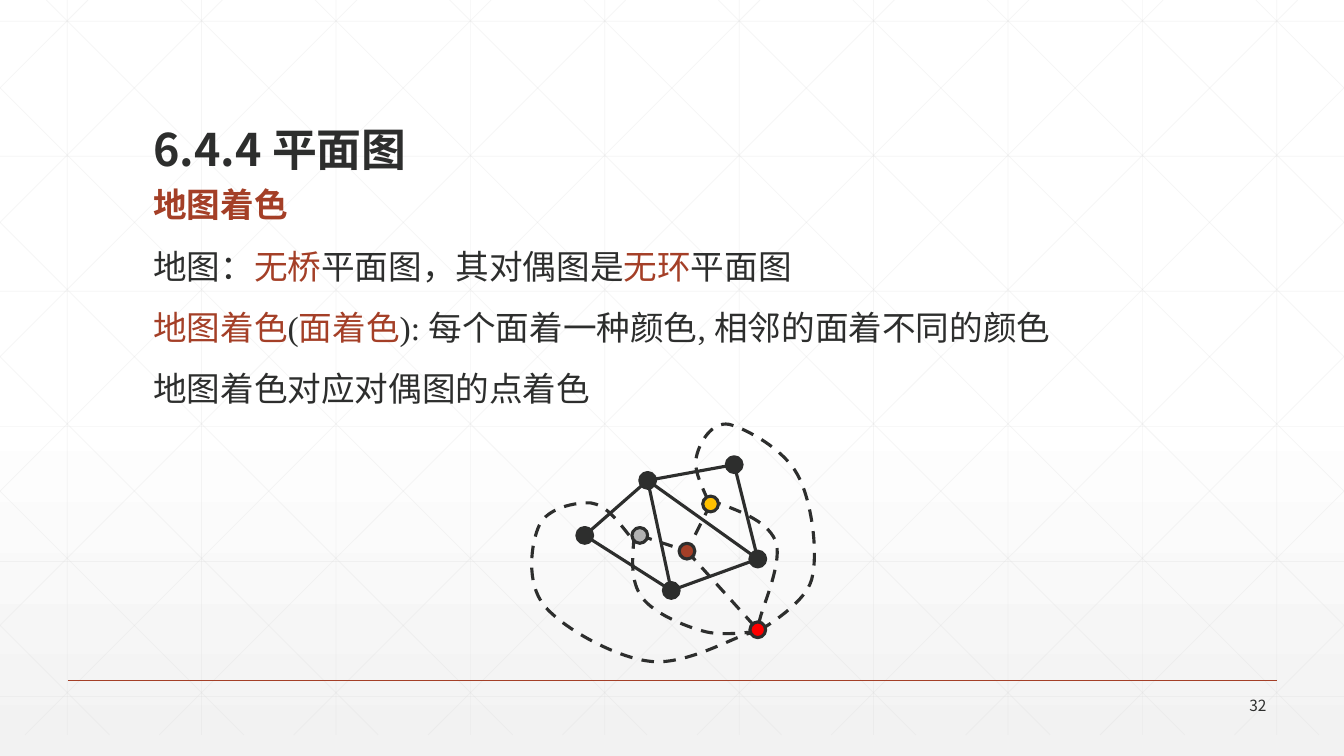
from lxml import etree
from pptx import Presentation
from pptx.dml.color import RGBColor
from pptx.enum.dml import MSO_LINE
from pptx.enum.shapes import MSO_CONNECTOR, MSO_SHAPE
from pptx.enum.text import MSO_ANCHOR, MSO_AUTO_SIZE, PP_ALIGN
from pptx.oxml.ns import qn
from pptx.util import Inches, Pt

STRAIGHT = MSO_CONNECTOR.STRAIGHT
OVAL = MSO_SHAPE.OVAL
DASH = MSO_LINE.DASH
TOP, MIDDLE, BOTTOM = MSO_ANCHOR.TOP, MSO_ANCHOR.MIDDLE, MSO_ANCHOR.BOTTOM
NO_FIT = MSO_AUTO_SIZE.NONE
LEFT, RIGHT = PP_ALIGN.LEFT, PP_ALIGN.RIGHT

WIDTH, HEIGHT = 13.33, 7.5
INK, RUST, PALE = "2D2E2D", "A43F27", "D9D9D9"
SANS, SERIF = "Noto Sans CJK SC", "Times New Roman"

STEP = 0.078
VERTICES = {"top": (8, 2), "peak": (19, 0), "left": (0, 9), "bottom": (11, 16), "right": (22, 12)}
FACES = {"yellow": (16, 5, "FFC000"), "rust": (13, 11, RUST),
         "gray": (7, 9, "B2B2B2"), "outer": (22, 21, "FF0000")}
EDGES = [("top", "left"), ("top", "bottom"), ("left", "bottom"), ("top", "peak"),
         ("peak", "right"), ("bottom", "right"), ("top", "right")]
DUAL_EDGES = [("yellow", "rust"), ("gray", "rust"), ("rust", "outer")]
DUAL_CURVES = [
    [(1.83, 0.86), (2.12, 0.96), (2.4, 1.06), (2.49, 1.26), (2.57, 1.45), (2.38, 1.88),
     (2.34, 2.03), (2.31, 2.18), (2.26, 2.16), (2.26, 2.16)],
    [(1.09, 1.22), (1.07, 1.45), (1.05, 1.67), (1.17, 1.83), (1.28, 1.98), (1.58, 2.11),
     (1.77, 2.16), (1.96, 2.22), (2.33, 2.16), (2.33, 2.16)],
    [(1.82, 0.86), (1.75, 0.7), (1.67, 0.54), (1.71, 0.42), (1.74, 0.29), (1.86, 0.08),
     (2.03, 0.11), (2.19, 0.15), (2.57, 0.35), (2.71, 0.61), (2.85, 0.86), (2.92, 1.39),
     (2.85, 1.65), (2.78, 1.91), (2.29, 2.18), (2.29, 2.18)],
    [(1.04, 1.21), (0.92, 1.06), (0.81, 0.91), (0.66, 0.89), (0.51, 0.88), (0.23, 0.94),
     (0.15, 1.11), (0.07, 1.28), (0.01, 1.68), (0.2, 1.91), (0.38, 2.13), (0.9, 2.42),
     (1.24, 2.46), (1.59, 2.51), (2.08, 2.22), (2.24, 2.18), (2.41, 2.13), (2.31, 2.16),
     (2.21, 2.19)],
]
BODY = [
    [("地图着色", RUST, True)],
    [("地图：", INK, False), ("无桥", RUST, False), ("平面图，其对偶图是", INK, False),
     ("无环", RUST, False), ("平面图", INK, False)],
    [("地图着色", RUST, False), ("(", INK, False), ("面着色", RUST, False),
     ("): 每个面着一种颜色, 相邻的面着不同的颜色", INK, False)],
    [("地图着色对应对偶图的点着色", INK, False)],
]


def color(value):
    return RGBColor.from_string(value)


def place(shape, box):
    shape.left, shape.top, shape.width, shape.height = map(Inches, box)


def stroke(line, value, width, dashed=False):
    line.color.rgb = color(value)
    line.width = Pt(width)
    if dashed:
        line.dash_style = DASH


def add_line(shapes, start, end, value, width, dashed=False, alpha=None):
    link = shapes.add_connector(STRAIGHT, *map(Inches, (*start, *end)))
    stroke(link.line, value, width, dashed)
    properties = link._element.spPr
    etree.SubElement(properties, qn("a:effectLst"))
    if alpha:
        tint = properties.find(".//" + qn("a:srgbClr"))
        etree.SubElement(tint, qn("a:alpha")).set("val", str(alpha * 1000))
    return link


def move_to_layout(slide, shape):
    slide.slide_layout.shapes._spTree.append(shape._element)


def add_run(paragraph, text, font, size, value, bold=False):
    run = paragraph.add_run()
    run.text = text
    run.font.name = font
    run.font.size = Pt(size)
    run.font.bold = bold
    run.font.color.rgb = color(value)
    etree.SubElement(run._r.get_or_add_rPr(), qn("a:ea")).set("typeface", SANS)


def prepare(frame, anchor):
    frame.word_wrap = True
    frame.auto_size = NO_FIT
    frame.vertical_anchor = anchor


def draw_background(slide):
    fill = slide.background.fill
    fill.gradient()
    fill.gradient_angle = 270
    for stop, position, value in zip(fill.gradient_stops, (0.53, 1), ("FFFFFF", "F2F2F2")):
        stop.position = position
        stop.color.rgb = color(value)


def draw_lattice(slide, box):
    left, top, width, height = box
    right, bottom = left + width, top + height
    pitch = width / 10
    lines = [((left + pitch * (i + 0.5), top), (left + pitch * (i + 0.5), bottom))
             for i in range(10)]
    lines += [((left, top + 0.21 + 1.34 * i), (right, top + 0.21 + 1.34 * i)) for i in range(6)]
    for i in range(-5, 10):
        crossing = 0.46 + pitch * i
        high, low = max(0, -crossing), min(height, width - crossing)
        near, far = crossing + high, crossing + low
        lines.append(((left + near, top + high), (left + far, top + low)))
        lines.append(((right - near, top + high), (right - far, top + low)))
    lattice = slide.shapes.add_group_shape()
    for start, end in lines:
        add_line(lattice.shapes, start, end, PALE, 0.5, alpha=25)
    move_to_layout(slide, lattice)


def fill_title(slide, box):
    title = slide.shapes.title
    place(title, box)
    prepare(title.text_frame, BOTTOM)
    paragraph = title.text_frame.paragraphs[0]
    paragraph.alignment = LEFT
    paragraph.line_spacing = 0.9
    add_run(paragraph, "6.4.4 平面图", SANS, 32, INK, True)


def fill_body(slide, box):
    body = slide.placeholders[1]
    place(body, box)
    frame = body.text_frame
    prepare(frame, TOP)
    for i, parts in enumerate(BODY):
        paragraph = frame.add_paragraph() if i else frame.paragraphs[0]
        paragraph.line_spacing = 0.9
        paragraph.space_before = Pt(18 if i else 0)
        properties = paragraph._p.get_or_add_pPr()
        properties.set("marL", str(Inches(0.25)))
        properties.set("indent", str(Inches(-0.25)))
        etree.SubElement(properties, qn("a:buNone"))
        for text, value, bold in parts:
            add_run(paragraph, text, SERIF, 24, value, bold)


def draw_footer(slide, box):
    left, top, width, height = box
    move_to_layout(slide, add_line(slide.shapes, (left, top), (left + width, top), RUST, 1))
    number = slide.shapes.add_textbox(
        *map(Inches, (left + width - 1.01, top + 0.13, 1, height - 0.13)))
    prepare(number.text_frame, MIDDLE)
    paragraph = number.text_frame.paragraphs[0]
    paragraph.alignment = RIGHT
    add_run(paragraph, "32", SANS, 11, INK)


def draw_curve(shapes, left, top, knots):
    outline = [(Inches(left + x), Inches(top + y)) for x, y in knots]
    builder = shapes.build_freeform(*outline[0])
    builder.add_line_segments(outline[1:], close=False)
    curve = builder.convert_to_shape()
    segments = list(curve._element.iter(qn("a:lnTo")))
    for i in range(0, len(segments), 3):
        bend = etree.Element(qn("a:cubicBezTo"))
        segments[i].addprevious(bend)
        for segment in segments[i:i + 3]:
            bend.append(segment[0])
            segment.getparent().remove(segment)
    curve.shadow.inherit = False
    curve.fill.background()
    stroke(curve.line, INK, 2.25, True)


def draw_dot(shapes, center, value):
    x, y = center
    dot = shapes.add_shape(OVAL, *map(Inches, (x - STEP, y - STEP, 2 * STEP, 2 * STEP)))
    dot.shadow.inherit = False
    dot.fill.solid()
    dot.fill.fore_color.rgb = color(value)
    stroke(dot.line, INK, 2.25)


def draw_graph(slide, left, top):
    graph = slide.shapes.add_group_shape().shapes

    def at(column, row):
        return left + 0.6 + STEP * column, top + 0.51 + STEP * row

    for start, end in EDGES:
        add_line(graph, at(*VERTICES[start]), at(*VERTICES[end]), INK, 2.25)
    for vertex in VERTICES.values():
        draw_dot(graph, at(*vertex), INK)
    for start, end in DUAL_EDGES:
        add_line(graph, at(*FACES[start][:2]), at(*FACES[end][:2]), INK, 2.25, True)
    for knots in DUAL_CURVES:
        draw_curve(graph, left, top, knots)
    for column, row, value in FACES.values():
        draw_dot(graph, at(column, row), value)


def main():
    deck = Presentation()
    deck.slide_width, deck.slide_height = Inches(WIDTH), Inches(HEIGHT)
    slide = deck.slides.add_slide(deck.slide_layouts[1])
    draw_background(slide)
    draw_lattice(slide, (0, 0, WIDTH, 7.29))
    fill_body(slide, (1.42, 1.82, 10.5, 2.32))
    draw_footer(slide, (0.67, 6.75, 12, 0.37))
    fill_title(slide, (1.42, 0.55, 10.5, 1.25))
    draw_graph(slide, 5.2, 4.1)
    deck.save("out.pptx")


if __name__ == "__main__":
    main()
